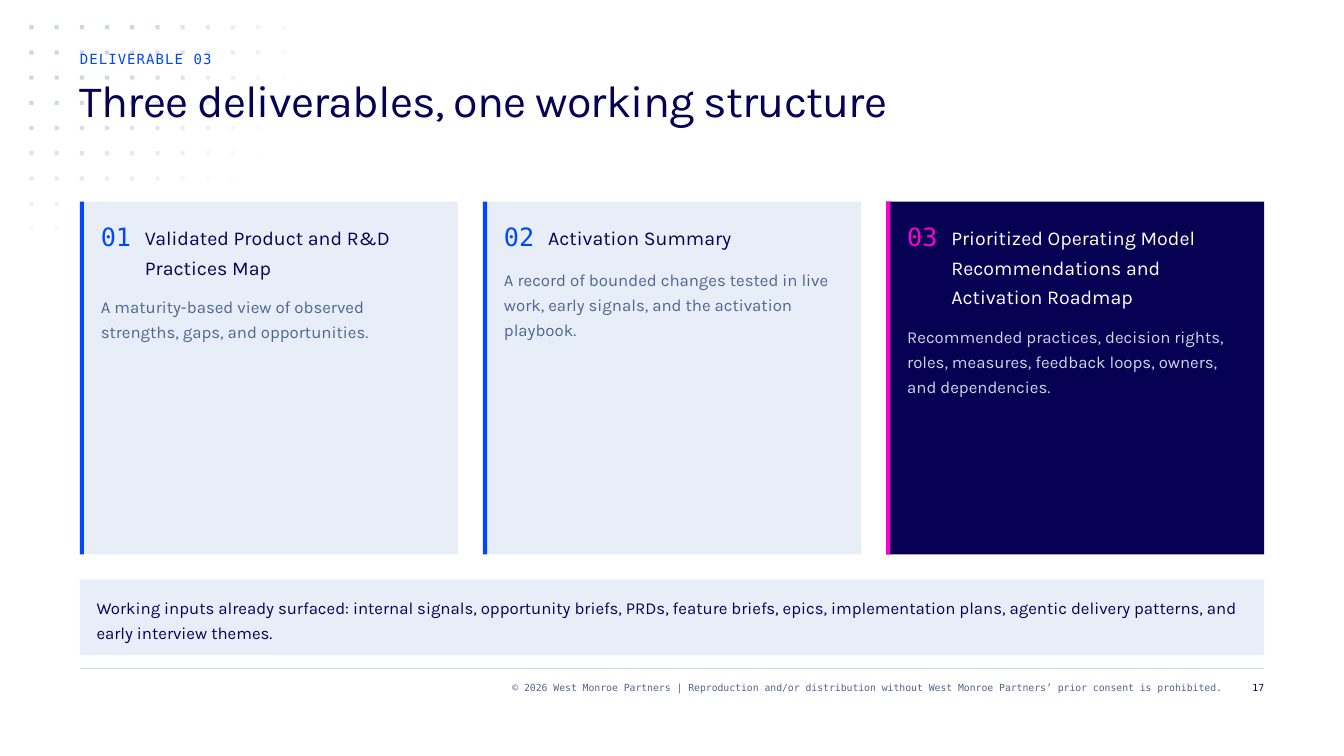
from math import hypot

from lxml.etree import SubElement
from pptx import Presentation
from pptx.dml.color import RGBColor
from pptx.enum.shapes import MSO_SHAPE
from pptx.enum.text import MSO_ANCHOR, MSO_AUTO_SIZE, PP_ALIGN
from pptx.oxml.ns import qn
from pptx.util import Emu, Pt

PX = 9525
SANS, MONO = "Karla", "DejaVu Sans Mono"
COLORS = {
    "white": "FFFFFF",
    "navy": "070154",
    "blue": "0047FF",
    "pink": "F900D3",
    "slate": "50658E",
    "mist": "CED7E6",
    "pale": "E8EEF8",
}
LIGHT = {"fill": "pale", "accent": "blue", "heading": "navy", "detail": "slate"}
DARK = {"fill": "navy", "accent": "pink", "heading": "white", "detail": "mist"}

# number, heading, lines in heading, detail, palette
DELIVERABLES = [
    ("01", "Validated Product and R&D Practices Map", 2,
     "A maturity-based view of observed strengths, gaps, and opportunities.", LIGHT),
    ("02", "Activation Summary", 1,
     "A record of bounded changes tested in live work, early signals, "
     "and the activation playbook.", LIGHT),
    ("03", "Prioritized Operating Model Recommendations and Activation Roadmap", 3,
     "Recommended practices, decision rights, roles, measures, feedback loops, "
     "owners, and dependencies.", DARK),
]


def px(*lengths):
    return [Emu(length * PX) for length in lengths]


def rgb(color):
    return RGBColor.from_string(COLORS[color])


def add_block(slide, box, color, opacity=100):
    """Add a plain rectangle; opacity is in percent."""
    block = slide.shapes.add_shape(MSO_SHAPE.RECTANGLE, *px(*box))
    block.shadow.inherit = False
    block.line.fill.background()
    block.fill.solid()
    block.fill.fore_color.rgb = rgb(color)
    if opacity < 100:
        tint = block.fill._xPr.find(qn("a:solidFill"))[0]
        SubElement(tint, qn("a:alpha")).set("val", str(opacity * 1000))


def write(holder, text, size, leading, font, color, align=PP_ALIGN.LEFT, tracking=0):
    """Fill a text holder with one run; tracking is in hundredths of a point."""
    frame = holder.text_frame
    frame.word_wrap = True
    frame.auto_size = MSO_AUTO_SIZE.NONE
    frame.vertical_anchor = MSO_ANCHOR.TOP
    frame.margin_left = frame.margin_top = frame.margin_right = frame.margin_bottom = 0
    paragraph = frame.paragraphs[0]
    paragraph.alignment = align
    paragraph.line_spacing = Pt(leading)
    run = paragraph.add_run()
    run.text = text
    run.font.size = Pt(size)
    run.font.name = font
    run.font.color.rgb = rgb(color)
    if tracking:
        run.font._element.set("spc", str(tracking))


def add_text(slide, box, *style, **options):
    write(slide.shapes.add_textbox(*px(*box)), *style, **options)


def add_dot_fade(slide, left, top):
    """Draw a dot grid that fades out along an ellipse around its first dot."""
    pitch, dot = 24, 4
    for row in range(9):
        columns = 11 if row < 7 else 2  # the cards start beside the last rows
        for column in range(columns):
            opacity = round(152.5 * (1 - hypot(column / 11.1, row / 9.1)))
            if opacity > 1:
                box = (left + column * pitch, top + row * pitch, dot, dot)
                add_block(slide, box, "mist", min(opacity, 100))


def add_header(slide, left, top, width):
    title = slide.shapes.title
    title.left, title.top, title.width, title.height = px(left, top + 24, width, 96)
    write(title, "Three deliverables, one working structure", 32, 36, SANS, "navy",
          tracking=-60)
    slide.shapes._spTree.append(title._element)  # in front of the dots
    add_text(slide, (left, top, width, 24), "DELIVERABLE 03", 10, 12, MONO, "blue",
             tracking=80)


def add_card(slide, box, number, heading, lines, detail, palette):
    left, top, width, height = box
    heading_height = 28 * lines
    detail_top = top + 16 + max(32, heading_height + 2) + 12
    add_block(slide, box, palette["fill"])
    add_block(slide, (left, top, 4, height), palette["accent"])
    add_text(slide, (left + 20, top + 16, 30, 32), number, 18, 24, MONO,
             palette["accent"])
    add_text(slide, (left + 62, top + 18, width - 78, heading_height), heading, 14, 21,
             SANS, palette["heading"])
    add_text(slide, (left + 20, detail_top, width - 36, 72), detail, 12, 18,
             SANS, palette["detail"])


def add_cards(slide, left, top, width, height):
    gap = 24
    card_width = (width - gap * (len(DELIVERABLES) - 1)) // len(DELIVERABLES)
    for index, deliverable in enumerate(DELIVERABLES):
        card_left = left + index * (card_width + gap)
        add_card(slide, (card_left, top, card_width, height), *deliverable)


def add_inputs_band(slide, left, top, width, height):
    add_block(slide, (left, top, width, height), "pale")
    add_text(slide, (left + 16, top + 12, width - 32, height - 24),
             "Working inputs already surfaced: internal signals, opportunity briefs, "
             "PRDs, feature briefs, epics, implementation plans, agentic delivery "
             "patterns, and early interview themes.", 12, 18, SANS, "navy")


def add_footer(slide, left, top, width):
    right = left + width
    add_block(slide, (left, top, width, 1), "mist")
    add_text(slide, (right - 976, top + 12, 936, 24),
             "© 2026 West Monroe Partners | Reproduction and/or distribution without "
             "West Monroe Partners’ prior consent is prohibited.",
             7, 9, MONO, "slate", align=PP_ALIGN.RIGHT)
    add_text(slide, (right - 32, top + 12, 32, 24), "17", 7, 9, MONO, "navy",
             align=PP_ALIGN.RIGHT)


def main():
    deck = Presentation()
    deck.slide_width, deck.slide_height = px(1280, 720)
    slide = deck.slides.add_slide(deck.slide_layouts[5])
    margin, content_width = 76, 1128
    add_dot_fade(slide, 28, 24)
    add_header(slide, margin, 48, 984)
    add_cards(slide, margin, 192, content_width, 336)
    add_inputs_band(slide, margin, 552, content_width, 72)
    add_footer(slide, margin, 636, content_width)
    deck.save("out.pptx")


if __name__ == "__main__":
    main()
